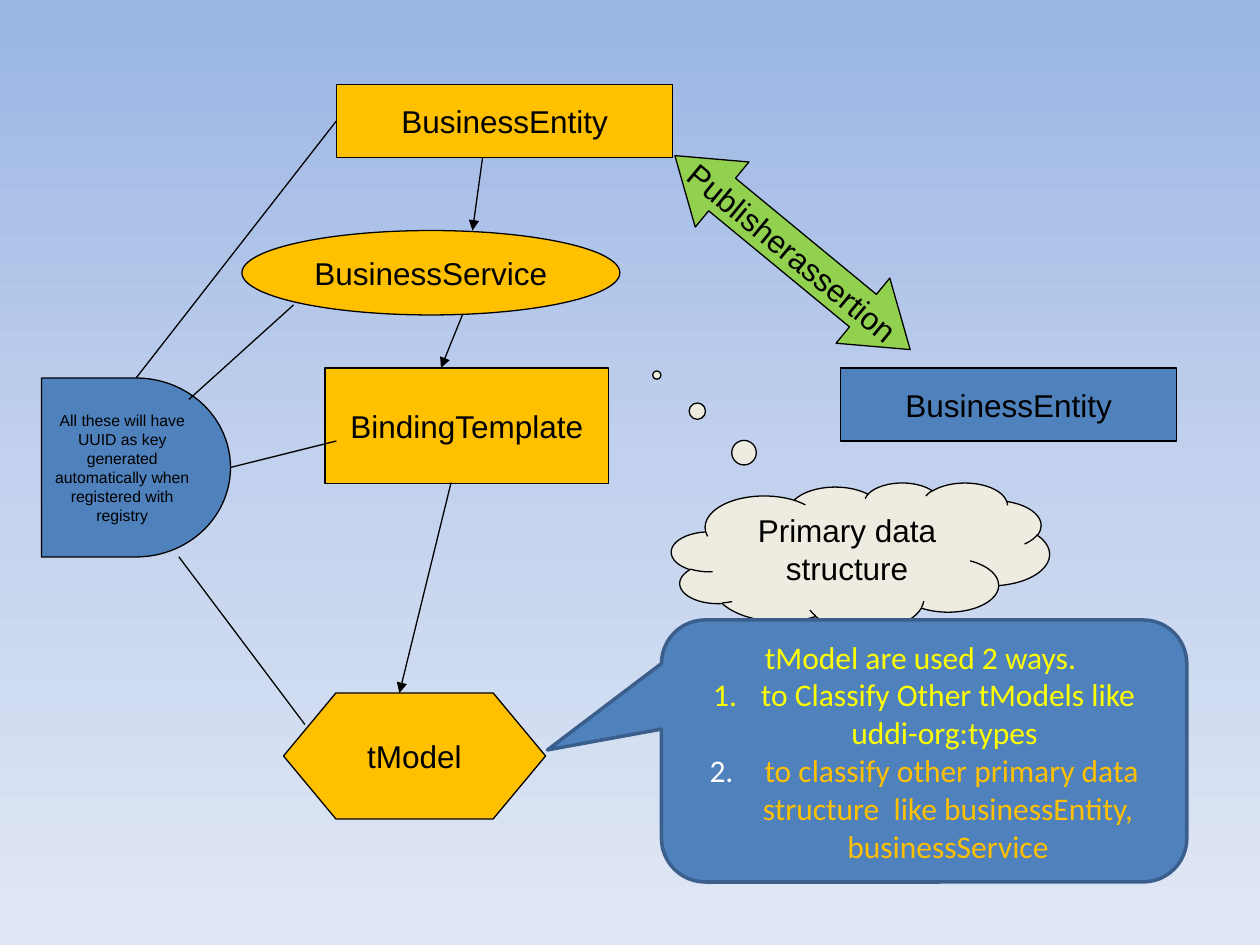
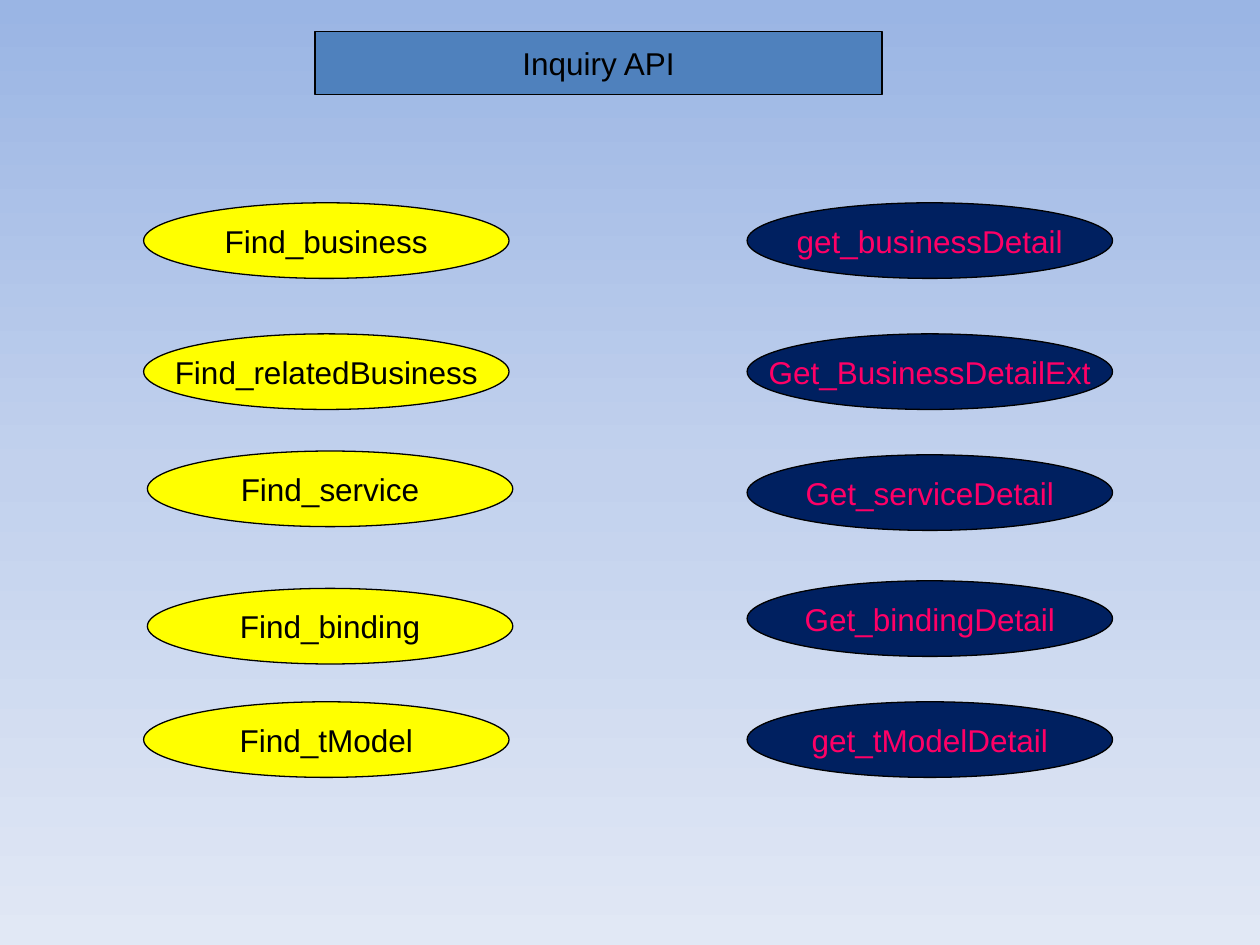
from copy import deepcopy

from lxml.etree import SubElement
from pptx import Presentation
from pptx.dml.color import RGBColor
from pptx.enum.shapes import MSO_CONNECTOR as CONN, MSO_SHAPE as SHAPE
from pptx.enum.text import MSO_ANCHOR as ANCHOR, PP_ALIGN as ALIGN
from pptx.oxml.ns import qn
from pptx.util import Inches, Pt

# Shared colours and layouts
BLACK, WHITE = "000000", "FFFFFF"
AMBER, YELLOW, GREEN = "FFC000", "FFFF00", "92D050"
BLUE, DARK_BLUE, NAVY = "4F81BD", "3A5F8C", "002060"
CREAM, PINK = "EEECE1", "FF0066"
BACKGROUND = [(0, "9AB5E4"), (0.5, "C2D1ED"), (1, "E1E8F5")]
TITLE_ONLY, BLANK = 5, 6
TOP, LEFT, RIGHT = 0, 1, 3


def rgb(color):
    return RGBColor.from_string(color)


class Deck:
    def __init__(self):
        self.prs = Presentation()
        self.prs.slide_width, self.prs.slide_height = Inches(10), Inches(7.5)
        self.s = None
        self.background()

    def background(self):
        """Vertical gradient on the master, so every slide shares it."""
        master = self.prs.slide_master
        fill = master.background.fill
        fill.gradient()
        stops = master.element.xpath("p:cSld/p:bg//a:gsLst")[0]
        stops.append(deepcopy(stops[-1]))
        for stop, (position, color) in zip(fill.gradient_stops, BACKGROUND):
            stop.position = position
            stop.color.rgb = rgb(color)
        fill.gradient_angle = 270

    def slide(self, layout):
        self.s = self.prs.slides.add_slide(self.prs.slide_layouts[layout])

    def paint(self, sp, fill, line=BLACK, width=0.75):
        sp.fill.solid()
        sp.fill.fore_color.rgb = rgb(fill)
        sp.line.color.rgb = rgb(line)
        sp.line.width = Pt(width)

    def paragraph(self, p, runs, size=18, font="Arial"):
        """Add centred runs given as (text, color) pairs."""
        p.alignment = ALIGN.CENTER
        for text, color in runs:
            r = p.add_run()
            r.text = text
            r.font.name, r.font.size = font, Pt(size)
            r.font.color.rgb = rgb(color)

    def number(self, p):
        pPr = p._p.get_or_add_pPr()
        pPr.set("marL", str(Inches(0.38)))
        pPr.set("indent", str(-Inches(0.38)))
        SubElement(pPr, qn("a:buFont"), typeface="+mj-lt")
        SubElement(pPr, qn("a:buAutoNum"), type="arabicPeriod")

    def title(self, text, x, y, w, h, fill):
        sp = self.s.shapes.title
        sp.left, sp.top, sp.width, sp.height = map(Inches, (x, y, w, h))
        self.paint(sp, fill)
        sp.text_frame.vertical_anchor = ANCHOR.MIDDLE
        self.paragraph(sp.text_frame.paragraphs[0], [(text, BLACK)])

    def shape(self, kind, x, y, w, h, fill, text=None, color=BLACK, size=18,
              wrap=False, adjust=()):
        sp = self.s.shapes.add_shape(kind, *map(Inches, (x, y, w, h)))
        sp.shadow.inherit = False
        self.paint(sp, fill)
        for i, value in enumerate(adjust):
            sp.adjustments[i] = value
        tf = sp.text_frame
        tf.word_wrap = wrap
        tf.vertical_anchor = ANCHOR.MIDDLE
        if text:
            self.paragraph(tf.paragraphs[0], [(text, color)], size)
        return sp

    def line(self, start, end, arrow=False, begin=None, finish=None):
        """Draw a line; begin and finish are optional (shape, side) joins."""
        c = self.s.shapes.add_connector(CONN.STRAIGHT, *map(Inches, start + end))
        c.line.color.rgb = rgb(BLACK)
        c.line.width = Pt(0.75)
        if arrow:
            SubElement(c.line._get_or_add_ln(), qn("a:tailEnd"), type="triangle")
        SubElement(c._element.spPr, qn("a:effectLst"))
        if begin:
            c.begin_connect(*begin)
        if finish:
            c.end_connect(*finish)


def data_structures(deck):
    deck.slide(BLANK)

    # Chain of primary structures
    entity = deck.shape(SHAPE.RECTANGLE, 2.67, 0.67, 2.67, 0.58, AMBER, "BusinessEntity")
    deck.shape(SHAPE.OVAL, 1.92, 1.83, 3, 0.67, AMBER, "BusinessService")
    deck.shape(SHAPE.RECTANGLE, 2.58, 2.92, 2.25, 0.92, AMBER, "BindingTemplate", wrap=True)
    deck.shape(SHAPE.FLOWCHART_PREPARATION, 2.25, 5.5, 2.08, 1, AMBER, "tModel")
    for start, end in [((3.83, 1.25), (3.75, 1.83)),
                       ((3.67, 2.5), (3.5, 2.92)),
                       ((3.58, 3.83), (3.17, 5.5))]:
        deck.line(start, end, arrow=True)

    # Assertion between two entities
    assertion = deck.shape(SHAPE.LEFT_RIGHT_ARROW, 5.08, 1.67, 2.42, 0.67, GREEN,
                           "Publisherassertion", adjust=(0.5, 0.725))
    assertion.rotation = 39.5
    deck.shape(SHAPE.RECTANGLE, 6.67, 2.92, 2.67, 0.58, BLUE, "BusinessEntity")

    # Key note and its links
    note = deck.shape(SHAPE.FLOWCHART_DELAY, 0.33, 3, 1.5, 1.42, BLUE,
                      "All these will have UUID as key generated automatically "
                      "when registered with registry", size=9, wrap=True)
    deck.line((2.67, 1), (1.08, 3), begin=(entity, LEFT), finish=(note, TOP))
    deck.line((2.33, 2.42), (1.5, 3.17))
    deck.line((1.83, 3.67), (2.67, 3.5), begin=(note, RIGHT))
    deck.line((1.42, 4.42), (2.42, 5.75))

    # Callouts
    cloud = deck.shape(SHAPE.CLOUD_CALLOUT, 5.33, 3.83, 3, 1.17, CREAM,
                       "Primary data structure", wrap=True, adjust=(-0.539, -1.229))
    cloud.text_frame.vertical_anchor = ANCHOR.TOP
    usage = deck.shape(SHAPE.ROUNDED_RECTANGULAR_CALLOUT, 5.25, 4.92, 4.17, 2.08, BLUE,
                       wrap=True, adjust=(-0.717, -0.004, 0.167))
    deck.paint(usage, BLUE, DARK_BLUE, 2)
    tf = usage.text_frame
    deck.paragraph(tf.paragraphs[0], [("tModel are used 2 ways. ", YELLOW)], font="Calibri")
    for runs in ([("to Classify Other tModels like uddi-org:types ", YELLOW)],
                 [(" ", WHITE),
                  ("to classify other primary data structure  like businessEntity, "
                   "businessService", AMBER)]):
        p = tf.add_paragraph()
        deck.number(p)
        deck.paragraph(p, runs, font="Calibri")


def inquiry_api(deck):
    deck.slide(TITLE_ONLY)
    deck.title("Inquiry API", 2.5, 0.25, 4.5, 0.5, BLUE)

    # Find calls on the left, get calls on the right
    find_calls = [("Find_business", 1.14, 1.61), ("Find_relatedBusiness", 1.14, 2.65),
                  ("Find_service", 1.17, 3.58), ("Find_binding", 1.17, 4.67),
                  ("Find_tModel", 1.14, 5.57)]
    get_calls = [("get_businessDetail", 5.93, 1.61), ("Get_BusinessDetailExt", 5.93, 2.65),
                 ("Get_serviceDetail", 5.93, 3.61), ("Get_bindingDetail", 5.93, 4.61),
                 ("get_tModelDetail", 5.93, 5.57)]
    for calls, fill, color in ((find_calls, YELLOW, BLACK), (get_calls, NAVY, PINK)):
        for name, x, y in calls:
            deck.shape(SHAPE.OVAL, x, y, 2.9, 0.6, fill, name, color)


def main():
    deck = Deck()
    data_structures(deck)
    inquiry_api(deck)
    deck.prs.save("out.pptx")


if __name__ == "__main__":
    main()
